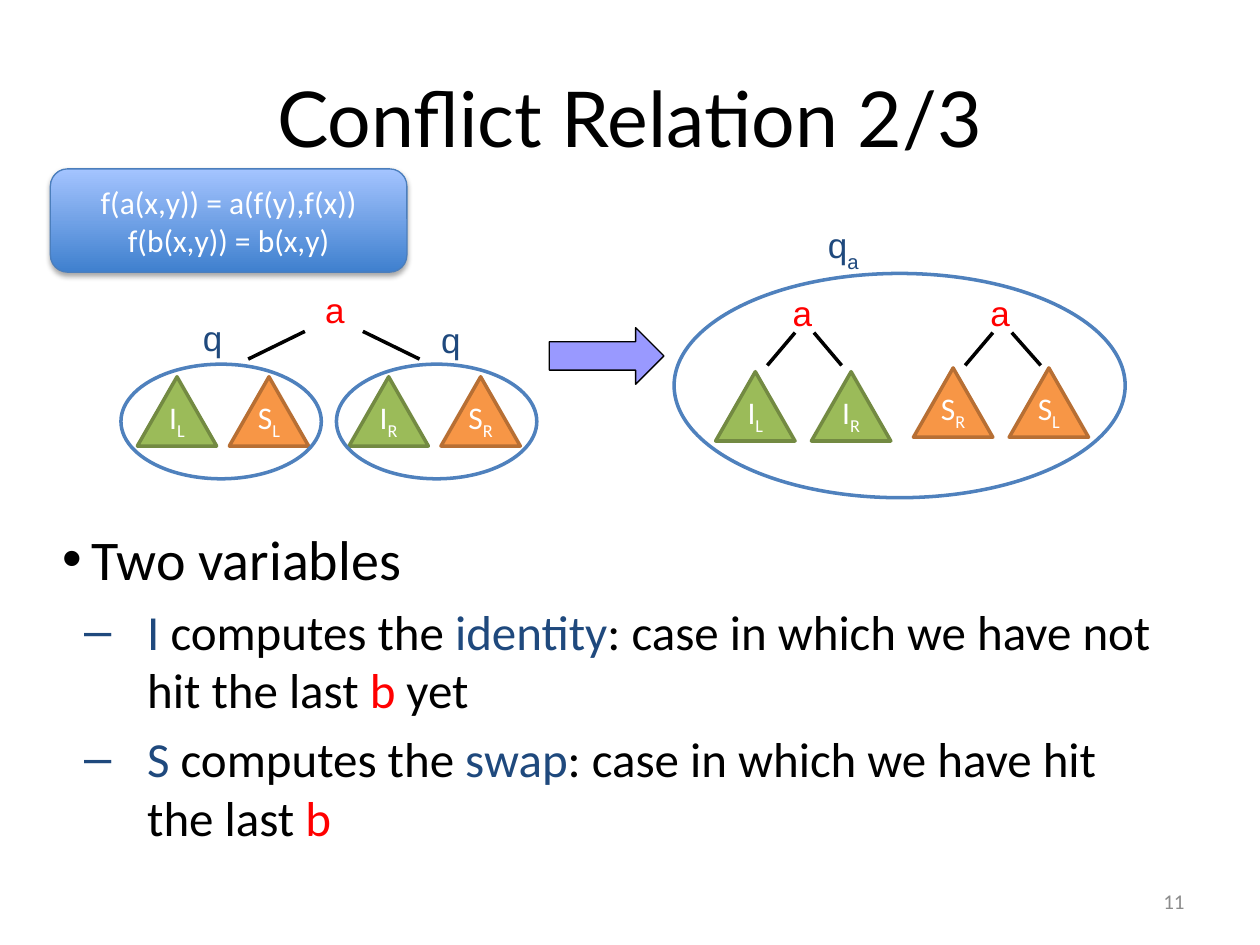
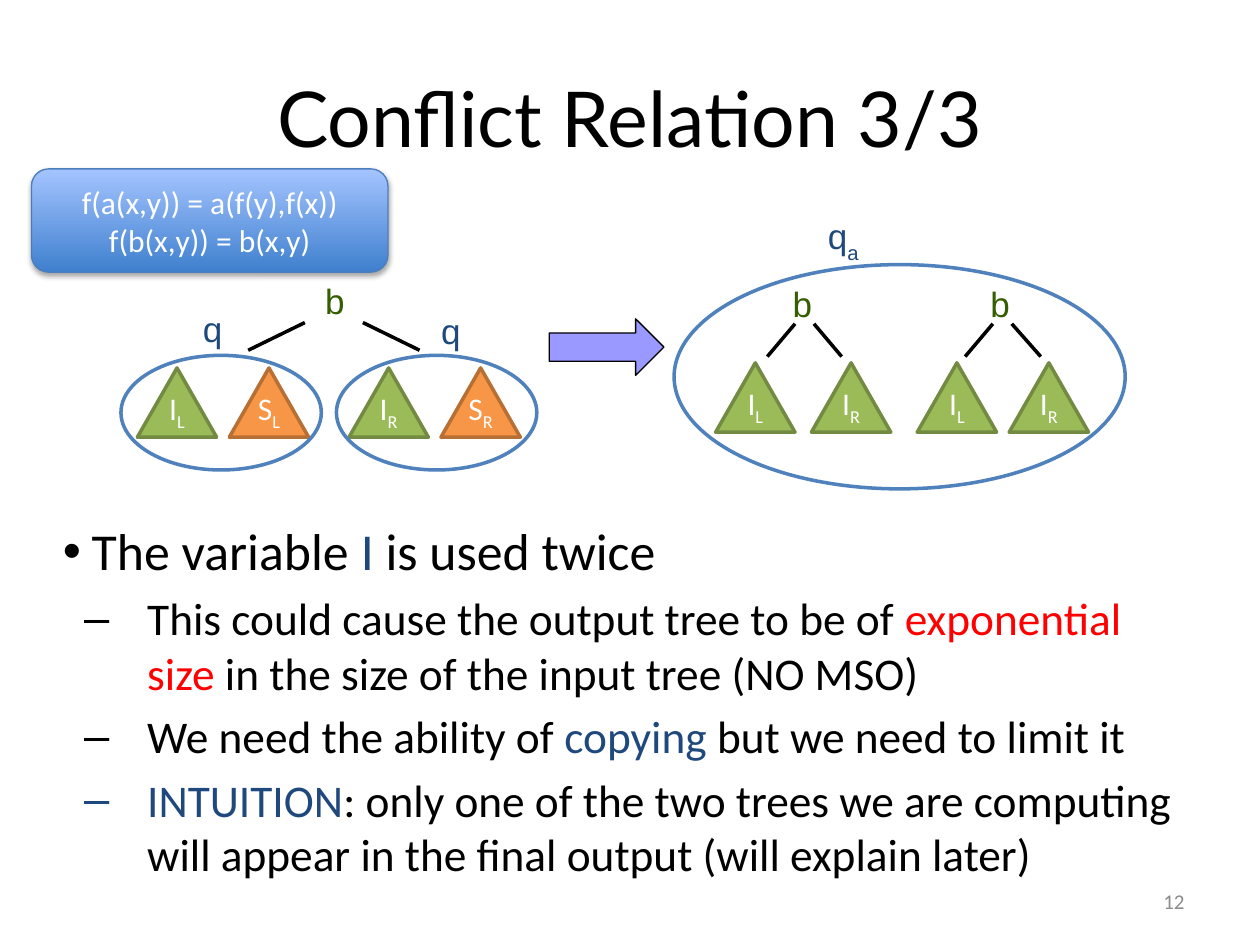
"""Builds two slides on conflict relations between tree variables."""
from lxml import etree
from pptx import Presentation
from pptx.dml.color import RGBColor
from pptx.enum.shapes import MSO_CONNECTOR, MSO_SHAPE
from pptx.enum.text import MSO_ANCHOR, PP_ALIGN
from pptx.oxml.ns import qn
from pptx.util import Inches, Pt

BLACK = RGBColor(0x00, 0x00, 0x00)
WHITE = RGBColor(0xFF, 0xFF, 0xFF)
NAVY = RGBColor(0x1F, 0x49, 0x7D)
RED = RGBColor(0xFF, 0x00, 0x00)
DARK_GREEN = RGBColor(0x35, 0x5E, 0x00)
GRAY = RGBColor(0x8C, 0x8C, 0x8C)
BLUE = RGBColor(0x4F, 0x81, 0xBD)
LILAC = RGBColor(0x99, 0x99, 0xFF)
RULE_LINE = RGBColor(0x4B, 0x7E, 0xBC)
RULE_STOPS = (RGBColor(0x3F, 0x80, 0xCE), RGBColor(0xA4, 0xC4, 0xFF))
VARIABLE_COLORS = {
    "I": (RGBColor(0x9B, 0xBB, 0x59), RGBColor(0x73, 0x8A, 0x42)),
    "S": (RGBColor(0xF7, 0x96, 0x46), RGBColor(0xB7, 0x6F, 0x34)),
}

TRIANGLE, ELLIPSE = MSO_SHAPE.ISOSCELES_TRIANGLE, MSO_SHAPE.OVAL
ARROW, ROUNDED = MSO_SHAPE.RIGHT_ARROW, MSO_SHAPE.ROUNDED_RECTANGLE
STRAIGHT = MSO_CONNECTOR.STRAIGHT
LEFT, CENTER, RIGHT = PP_ALIGN.LEFT, PP_ALIGN.CENTER, PP_ALIGN.RIGHT
TOP, MIDDLE, BOTTOM = MSO_ANCHOR.TOP, MSO_ANCHOR.MIDDLE, MSO_ANCHOR.BOTTOM

RULES = ["f(a(x,y)) = a(f(y),f(x))", "f(b(x,y)) = b(x,y)"]
STATES = [(1.52, 2.47, ""), (3.41, 2.49, ""), (6.48, 1.73, "a")]
SYMBOLS = [(2.49, 2.25), (6.2, 2.27), (7.77, 2.27)]
ELLIPSES = [(0.96, 2.89, 1.59, 0.91), (2.67, 2.89, 1.59, 0.91),
            (5.35, 2.17, 3.58, 1.78)]
BRANCHES = [(2.88, 2.63, 3.33, 2.85), (2.42, 2.63, 1.97, 2.85),
            (6.31, 2.64, 6.09, 2.9), (6.46, 2.64, 6.68, 2.9),
            (7.88, 2.64, 7.66, 2.9), (8.03, 2.64, 8.26, 2.9)]
INPUT_TREES = [("I", "L", 1.09, 2.99), ("S", "L", 1.82, 2.99),
               ("I", "R", 2.77, 2.99), ("S", "R", 3.5, 2.99),
               ("I", "L", 5.68, 2.95), ("I", "R", 6.44, 2.95)]
SLIDES = [
    {
        "title": "Conflict Relation 2/3", "number": "11",
        "symbol": ("a", RED), "shift": 0, "rule_x": 0.4,
        "trees": [("S", "R", 7.25, 2.92), ("S", "L", 8.01, 2.92)],
        "body_y": 4.11, "sizes": (32, 28),
        "body": [
            (0, [("Two variables", BLACK)]),
            (1, [("I", NAVY), (" computes the ", BLACK), ("identity", NAVY),
                 (": case in which we have not hit the last ", BLACK),
                 ("b", RED), (" yet", BLACK)]),
            (1, [("S", NAVY), (" computes the ", BLACK), ("swap", NAVY),
                 (": case in which we have hit the last ", BLACK), ("b", RED)]),
        ],
    },
    {
        "title": "Conflict Relation 3/3", "number": "12",
        "symbol": ("b", DARK_GREEN), "shift": -0.07, "rule_x": 0.25,
        "trees": [("I", "L", 7.28, 2.95), ("I", "R", 8.01, 2.95)],
        "body_y": 4.07, "sizes": (29.6, 25.9),
        "body": [
            (0, [("The variable ", BLACK), ("I", NAVY), (" is used twice", BLACK)]),
            (1, [("This could cause the output tree to be of ", BLACK),
                 ("exponential size", RED),
                 (" in the size of the input tree (NO MSO)", BLACK)]),
            (1, [("We need the ability of ", BLACK), ("copying", NAVY),
                 (" but we need to limit it", BLACK)]),
            (1, [("INTUITION", NAVY),
                 (": only one of the two trees we are computing will appear "
                  "in the final output (will explain later)", BLACK)]),
        ],
    },
]


def add_run(p, text, size, color, font="Calibri", baseline=0):
    r = p.add_run()
    r.text = text
    for name, value in {"size": Pt(size), "name": font}.items():
        setattr(r.font, name, value)
    r.font.color.rgb = color
    if baseline:
        r.font._element.set("baseline", str(baseline * 1000))


def set_frame(sp, anchor=TOP, wrap=True, tight=False):
    tf = sp.text_frame
    x, y = (0.09, 0.04) if tight else (0.1, 0.05)
    frame = {"word_wrap": wrap, "vertical_anchor": anchor,
             "margin_left": Inches(x), "margin_right": Inches(x),
             "margin_top": Inches(y), "margin_bottom": Inches(y)}
    for name, value in frame.items():
        setattr(tf, name, value)
    return tf


def add_text(s, box, runs, align=LEFT, **frame):
    sp = s.shapes.add_textbox(*map(Inches, box))
    p = set_frame(sp, **frame).paragraphs[0]
    p.alignment = align
    for run in runs:
        add_run(p, *run)


def add_shape(s, kind, box, line, width, fill=None):
    sp = s.shapes.add_shape(kind, *map(Inches, box))
    sp.shadow.inherit = False
    if fill is None:
        sp.fill.background()
    else:
        sp.fill.solid()
        sp.fill.fore_color.rgb = fill
    sp.line.color.rgb = line
    sp.line.width = Pt(width)
    return sp


def add_branch(s, ends):
    line = s.shapes.add_connector(STRAIGHT, *map(Inches, ends))
    line.line.color.rgb = BLACK
    line.line.width = Pt(0)
    etree.SubElement(line._element.spPr, qn("a:effectLst"))


def add_tree(s, variable, side, x, y):
    fill, line = VARIABLE_COLORS[variable]
    sp = add_shape(s, TRIANGLE, (x, y, 0.63, 0.55), line, 2, fill)
    p = set_frame(sp, BOTTOM, wrap=False, tight=True).paragraphs[0]
    p.alignment = CENTER
    add_run(p, variable, 18, WHITE)
    add_run(p, side, 18, WHITE, baseline=-25)


def add_rules(s, x):
    sp = add_shape(s, ROUNDED, (x, 1.34, 2.83, 0.82), RULE_LINE, 0.75)
    sp.fill.gradient()
    sp.fill.gradient_angle = 90
    for i, (stop, color) in enumerate(zip(sp.fill.gradient_stops, RULE_STOPS)):
        stop.position = i
        stop.color.rgb = color
    effects = sp._element.spPr.find(qn("a:effectLst"))
    shadow = etree.SubElement(effects, qn("a:outerShdw"), blurRad=str(Pt(3.1)),
                              dist=str(Pt(1.8)), dir="5400000", rotWithShape="0")
    color = etree.SubElement(shadow, qn("a:srgbClr"), val="000000")
    etree.SubElement(color, qn("a:alpha"), val="35000")
    tf = set_frame(sp, MIDDLE)
    for i, rule in enumerate(RULES):
        p = tf.add_paragraph() if i else tf.paragraphs[0]
        p.alignment = CENTER
        add_run(p, rule, 18, WHITE)


def add_body(s, y, sizes, body):
    sp = s.shapes.add_textbox(*map(Inches, (0.4, y, 9, 2.88)))
    tf = set_frame(sp)
    for i, (level, runs) in enumerate(body):
        p = tf.add_paragraph() if i else tf.paragraphs[0]
        p.level = level
        margin, indent, bullet = ((0.23, -0.23, "•"), (0.67, -0.5, "–"))[level]
        pPr = p._p.get_or_add_pPr()
        pPr.set("marL", str(Inches(margin)))
        pPr.set("indent", str(Inches(indent)))
        before = etree.SubElement(pPr, qn("a:spcBef"))
        etree.SubElement(before, qn("a:spcPct"), val="20000")
        etree.SubElement(pPr, qn("a:buFont"), typeface="Arial")
        etree.SubElement(pPr, qn("a:buChar"), char=bullet)
        for text, color in runs:
            add_run(p, text, sizes[level], color)


def add_diagram(s, symbol, shift, trees):
    for x, y in SYMBOLS:
        add_text(s, (x, y + shift, 0.33, 0.43),
                 [(symbol[0], 20, symbol[1], "Arial")], tight=True)
    for x, y, sub in STATES:
        runs = [("q", 20, NAVY, "Arial")]
        if sub:
            runs.append((sub, 20, NAVY, "Arial", -33))
        add_text(s, (x, y + shift, 0.48, 0.43), runs, tight=True)
    for x1, y1, x2, y2 in BRANCHES:
        add_branch(s, (x1, y1 + shift, x2, y2 + shift))
    add_shape(s, ARROW, (4.36, 2.6 + shift, 0.91, 0.45), BLACK, 0, LILAC)
    for variable, side, x, y in INPUT_TREES + trees:
        add_tree(s, variable, side, x, y + shift)
    for x, y, w, h in ELLIPSES:
        add_shape(s, ELLIPSE, (x, y + shift, w, h), BLUE, 2)


def main():
    prs = Presentation()
    prs.slide_width, prs.slide_height = Inches(10), Inches(7.5)
    for data in SLIDES:
        s = prs.slides.add_slide(prs.slide_layouts[6])
        add_text(s, (0.5, 0.3, 9, 1.25), [(data["title"], 44, BLACK, "Lato")],
                 CENTER, anchor=MIDDLE)
        add_diagram(s, data["symbol"], data["shift"], data["trees"])
        add_body(s, data["body_y"], data["sizes"], data["body"])
        add_rules(s, data["rule_x"])
        add_text(s, (7.17, 6.95, 2.33, 0.4), [(data["number"], 12, GRAY)],
                 RIGHT, anchor=MIDDLE)
    prs.save("out.pptx")


if __name__ == "__main__":
    main()
